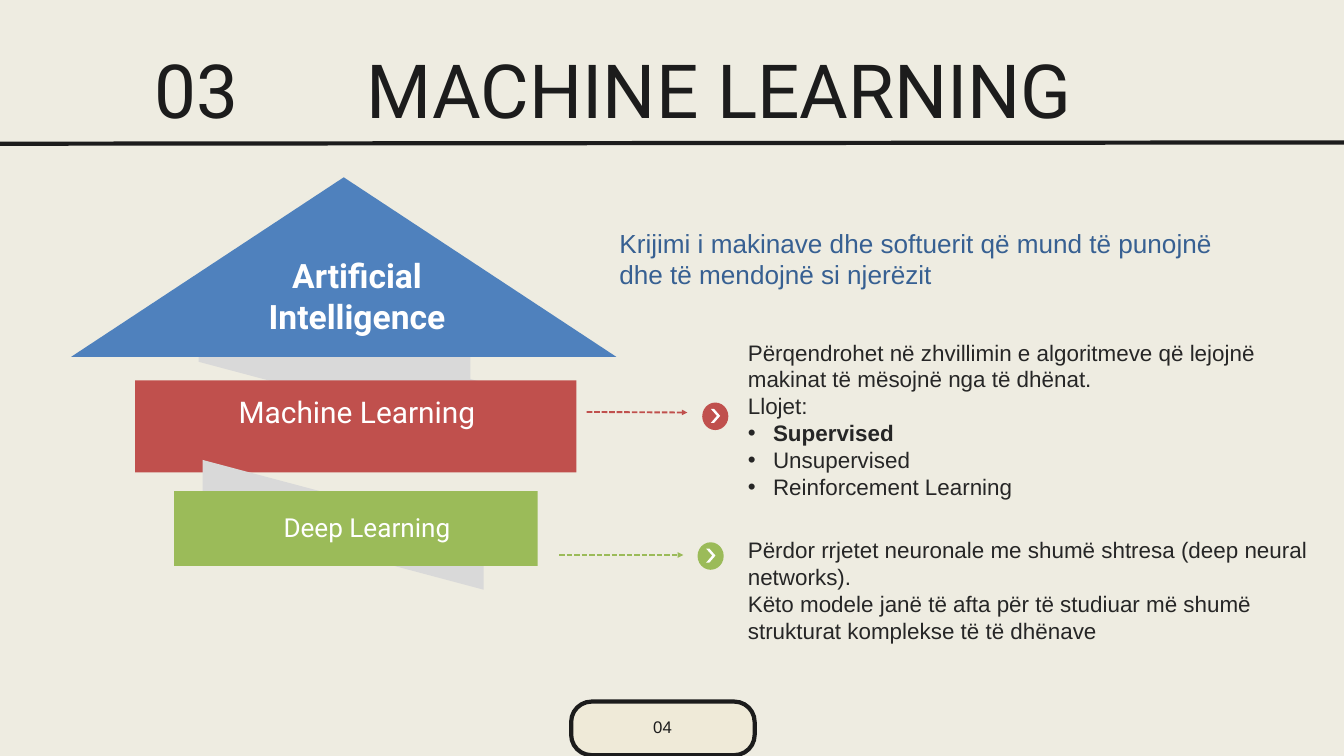
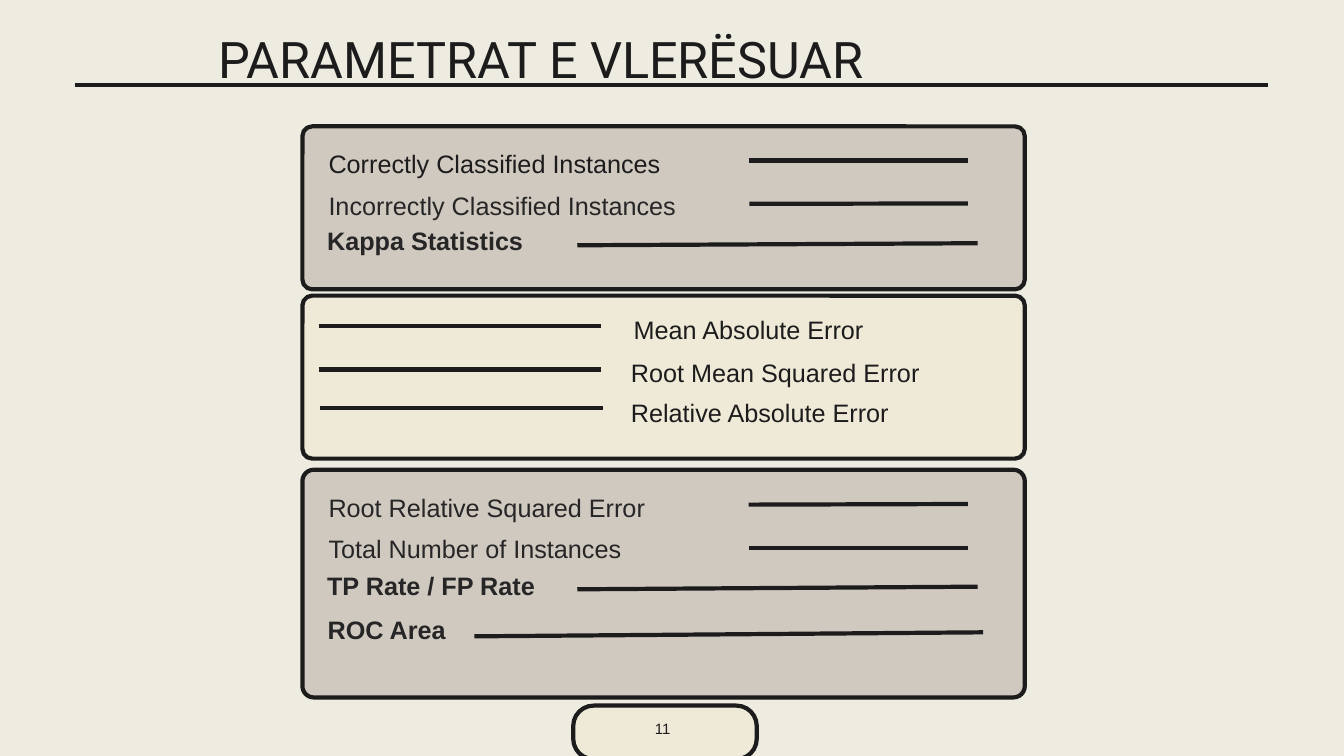
import pptx
import pptx.util
import pptx.dml.color
import pptx.enum.dml
import pptx.enum.shapes
import pptx.enum.text
import pptx.oxml
import pptx.oxml.ns

Pt = pptx.util.Pt
SHAPE = pptx.enum.shapes.MSO_SHAPE
ALIGN = pptx.enum.text.PP_ALIGN
AUTOSIZE = pptx.enum.text.MSO_AUTO_SIZE

# Shared colours and fonts
PAPER, INK, BODY, WHITE = "EEECE1", "1C1C1C", "262626", "FFFFFF"
CREAM, TAUPE, RIBBON = "EFEAD8", "D0C9C0", "D9D9D9"
BLUE, NAVY, RED, GREEN = "4F81BD", "376092", "C0504D", "9BBB59"
HEADING, PLAIN = "Roboto", "Arial"
RULE = 4.5

# Slide 1 content: boxes are left, top, width, height
FOLDS = [(293.8, 247.7), (298.1, 411.8)]
FOLD_SIZE = (139, 301)
BACK_FOLD = [(504, 424), (203, 343.4), (260, 297.4), (504, 365)]
LEVELS = [
    ("Artificial Intelligence", SHAPE.ISOSCELES_TRIANGLE, BLUE, (76.3, 190, 584, 192.3),
     (226, 270, 313.2, 94.3), 36, True),
    ("Machine Learning", SHAPE.RECTANGLE, RED, (144.7, 407.5, 473, 98.6),
     (226, 418.3, 313.2, 85), 32, False),
    ("Deep Learning", SHAPE.RECTANGLE, GREEN, (186.5, 526.3, 389.5, 80),
     (252.7, 544.3, 280.8, 41), 28, False),
]
POINTERS = [  # colour, arrow start and end, badge corner
    (RED, (628.6, 441.4), (736.6, 442), (752.4, 431.3)),
    (GREEN, (599, 594.7), (732.2, 594.7), (747.4, 581)),
]
SUMMARY = "Krijimi i makinave dhe softuerit që mund të punojnë dhe të mendojnë si njerëzit"
LEARNING_NOTES = [
    "Përqendrohet në zhvillimin e algoritmeve që lejojnë makinat të mësojnë nga të dhënat.",
    "Llojet:",
    {"text": "Supervised", "bold": True, "bullet": True},
    {"text": "Unsupervised", "bullet": True},
    {"text": "Reinforcement Learning", "bullet": True},
]
DEEP_NOTES = [
    "Përdor rrjetet neuronale me shumë shtresa (deep neural networks).",
    "Këto modele janë të afta për të studiuar më shumë strukturat komplekse të të dhënave",
]

# Slide 2 content: metric, text corner, colour, bold, line start, line end
PANEL_LEFT, PANEL_WIDTH = 324, 774
PANELS = [
    (135.4, 174.6, TAUPE, 0.06, [
        ("Correctly Classified Instances", (352, 153.4), INK, False, (802, 172), (1037, 172)),
        ("Incorrectly Classified Instances", (352, 198), BODY, False, (803, 218.4), (1037, 218)),
        ("Kappa Statistics", (343.4, 238.3), BODY, True, (618.5, 262.8), (1047.6, 260.6)),
    ]),
    (316.8, 174.6, CREAM, 0.06, [
        ("Mean Absolute Error", (679, 331.2), INK, False, (341.3, 349.2), (644.4, 349.2)),
        ("Root Mean Squared Error", (676, 377.3), INK, False, (341.3, 396), (644.4, 396)),
        ("Relative Absolute Error", (676, 419.8), INK, False, (343.4, 437), (645.8, 437)),
    ]),
    (503.3, 244, TAUPE, 0.05, [
        ("Root Relative Squared Error", (352, 522), BODY, False, (802, 540.7), (1037, 540)),
        ("Total Number of Instances", (352, 566), BODY, False, (803, 586.8), (1037, 586.8)),
        ("TP Rate / FP Rate", (343.4, 607), BODY, True, (618.5, 631.4), (1047.6, 628.6)),
        ("ROC Area", (344, 654.5), BODY, True, (508.3, 681.8), (1053.4, 677.5)),
    ]),
]


def rgb(value):
    return pptx.dml.color.RGBColor.from_string(value)


def add_xml(parent, tag, **attributes):
    child = pptx.oxml.parse_xml(f"<a:{tag} {pptx.oxml.ns.nsdecls('a')}/>")
    for key, value in attributes.items():
        child.set(key, str(value))
    parent.append(child)
    return child


def place(shape, box):
    shape.left, shape.top, shape.width, shape.height = (Pt(length) for length in box)


def write(slide, text, box, size, color=BODY, font=PLAIN, bold=False, align=ALIGN.LEFT,
          spacing=None, inset=True, left_inset=0, holder=None):
    """Fill a new text box, or the given holder, with one paragraph per item."""
    holder = holder or slide.shapes.add_textbox(0, 0, 0, 0)
    place(holder, box)
    frame = holder.text_frame
    frame.word_wrap = True
    frame.auto_size = AUTOSIZE.SHAPE_TO_FIT_TEXT
    frame.vertical_anchor = pptx.enum.text.MSO_ANCHOR.TOP
    if not inset:
        frame.margin_top = frame.margin_right = frame.margin_bottom = 0
        frame.margin_left = Pt(left_inset)
    for index, item in enumerate([text] if isinstance(text, str) else text):
        item = {"text": item} if isinstance(item, str) else item
        paragraph = frame.add_paragraph() if index else frame.paragraphs[0]
        paragraph.alignment = align
        if spacing:
            paragraph.line_spacing = Pt(spacing)
        if item.get("bullet"):
            properties = paragraph._p.get_or_add_pPr()
            properties.set("marL", str(Pt(27)))
            properties.set("indent", str(-Pt(27)))
            add_xml(properties, "buFont", typeface=PLAIN)
            add_xml(properties, "buChar", char="•")
        run = paragraph.add_run()
        run.text = item["text"]
        run.font.size, run.font.name = Pt(size), font
        run.font.bold = item.get("bold", bold)
        run.font.color.rgb = rgb(color)
    return holder


def paint(shape, fill, outline=None):
    shape.shadow.inherit = False
    shape.fill.solid()
    shape.fill.fore_color.rgb = rgb(fill)
    if outline:
        shape.line.color.rgb = rgb(outline)
        shape.line.width = Pt(RULE)
    else:
        shape.line.fill.background()


def add_block(slide, preset, box, fill, outline=None, adjust=None, rotation=0):
    block = slide.shapes.add_shape(preset, *(Pt(length) for length in box))
    paint(block, fill, outline)
    block.rotation = rotation
    if adjust is not None:
        block.adjustments[0] = adjust


def add_line(slide, start, end, color=INK, width=RULE, arrow=False):
    line = slide.shapes.add_connector(pptx.enum.shapes.MSO_CONNECTOR.STRAIGHT,
                                      *(Pt(length) for length in start + end))
    line.line.color.rgb = rgb(color)
    line.line.width = Pt(width)
    properties = line._element.spPr
    if arrow:
        line.line.dash_style = pptx.enum.dml.MSO_LINE.SQUARE_DOT
        add_xml(properties.find(pptx.oxml.ns.qn("a:ln")), "tailEnd", type="triangle")
    add_xml(properties, "effectLst")


def add_titled_slide(deck, title, box, size, rule, left_inset=0, tab=None):
    slide = deck.slides.add_slide(deck.slide_layouts[5])
    heading = write(slide, title, box, size, color=INK, font=HEADING, spacing=80,
                    inset=False, left_inset=left_inset, holder=slide.shapes.title)
    if tab:
        stops = add_xml(heading.text_frame.paragraphs[0]._p.get_or_add_pPr(), "tabLst")
        add_xml(stops, "tab", pos=Pt(tab), algn="l")
    add_line(slide, *rule)
    return slide


def add_page_number(slide, number, corner, size):
    add_block(slide, SHAPE.ROUNDED_RECTANGLE, corner + (196.6, 57.4), CREAM, INK, adjust=0.38)
    write(slide, number, (669.6, 769.7, 80.6, 20), size, color=INK, align=ALIGN.CENTER,
          spacing=20, inset=False)


def build_learning(deck):
    slide = add_titled_slide(deck, "03\tMACHINE LEARNING", (-49, 63.4, 1440, 85), 80,
                             ((0, 154), (1440, 152.6)), left_inset=215, tab=227)
    add_page_number(slide, "04", (612, 751.7), 18)

    # Folded ribbon behind the levels, drawn from back to front
    outline = slide.shapes.build_freeform(*(Pt(length) for length in BACK_FOLD[0]), scale=1.0)
    outline.add_line_segments([(Pt(x), Pt(y)) for x, y in BACK_FOLD[1:]], close=True)
    paint(outline.convert_to_shape(), RIBBON)
    top_level, *lower_levels = LEVELS
    for corner, (_, preset, color, box, *_) in zip(FOLDS, lower_levels):
        add_block(slide, SHAPE.PARALLELOGRAM, corner + FOLD_SIZE, RIBBON,
                  adjust=0.576, rotation=90)
        add_block(slide, preset, box, color)
    add_block(slide, top_level[1], top_level[3], top_level[2])
    for label, _, _, _, box, size, bold in LEVELS:
        write(slide, label, box, size, color=WHITE, font=HEADING, bold=bold,
              align=ALIGN.CENTER)

    # Explanations and the arrows that lead to them
    write(slide, SUMMARY, (656.6, 239.8, 687.6, 75), 28, color=NAVY)
    write(slide, LEARNING_NOTES, (794.2, 359.3, 630.7, 181.4), 24)
    write(slide, DEEP_NOTES, (794.2, 571, 630.7, 124), 24)
    for color, start, end, (left, top) in POINTERS:
        add_block(slide, SHAPE.OVAL, (left, top, 28, 29.5), color)
        add_block(slide, SHAPE.CHEVRON, (left + 9.2, top + 6.8, 10, 15), WHITE, adjust=0.652)
        add_line(slide, start, end, color=color, width=2, arrow=True)


def build_metrics(deck):
    slide = add_titled_slide(deck, "PARAMETRAT E VLERËSUAR", (234, 15, 1065, 77), 54,
                             ((80, 91.4), (1358.6, 91.4)))
    for top, height, fill, rounding, metrics in PANELS:
        add_block(slide, SHAPE.ROUNDED_RECTANGLE, (PANEL_LEFT, top, PANEL_WIDTH, height),
                  fill, INK, adjust=rounding)
        for metric, corner, color, bold, start, end in metrics:
            if bold:
                write(slide, metric, corner + (760, 40), 27, color=color, bold=True)
            else:
                width = 507 if corner[0] < 600 else 418
                write(slide, metric, corner + (width, 35), 27, color=color,
                      spacing=37.8, inset=False)
            add_line(slide, start, end)
    add_page_number(slide, "11", (614.2, 756), 16)


def main():
    deck = pptx.Presentation()
    deck.slide_width, deck.slide_height = Pt(1440), Pt(810)
    background = deck.slide_master.background.fill
    background.solid()
    background.fore_color.rgb = rgb(PAPER)
    build_learning(deck)
    build_metrics(deck)
    deck.save("out.pptx")


if __name__ == "__main__":
    main()
